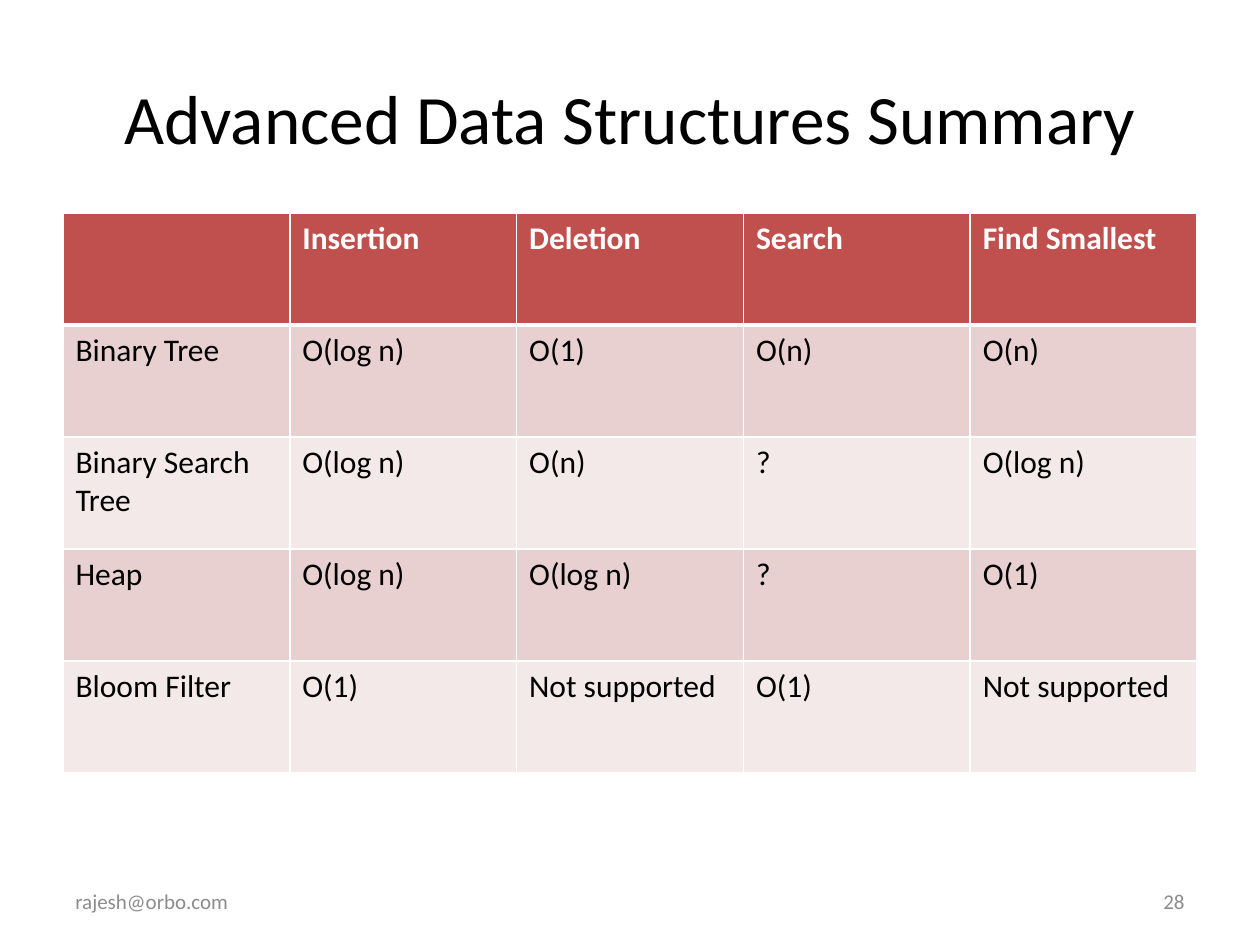
from dataclasses import dataclass

from lxml import etree
from pptx import Presentation, util as u
from pptx.dml.color import RGBColor
from pptx.enum import text
from pptx.oxml import ns

EMU_PER_PX = 914400 / 126
FONT = "Calibri"
COLORS = {
    "ink": "000000",
    "white": "FFFFFF",
    "header": "C0504D",
    "odd_row": "E8D0D0",
    "even_row": "F4E9E9",
    "footer": "8C8C8C",
}
COMPLEXITIES = [
    ["", "Insertion", "Deletion", "Search", "Find Smallest"],
    ["Binary Tree", "O(log n)", "O(1)", "O(n)", "O(n)"],
    ["Binary Search Tree", "O(log n)", "O(n)", "?", "O(log n)"],
    ["Heap", "O(log n)", "O(log n)", "?", "O(1)"],
    ["Bloom Filter", "O(1)", "Not supported", "O(1)", "Not supported"],
]


@dataclass(frozen=True)
class Box:
    left: int
    top: int
    width: int
    height: int

    def emu(self) -> list[int]:
        return [px(n) for n in (self.left, self.top, self.width, self.height)]


@dataclass(frozen=True)
class FooterItem:
    wording: str
    box: Box
    align: text.PP_ALIGN


TITLE_BOX = Box(63, 38, 1134, 158)
TABLE_BOX = Box(63, 213, 1134, 560)
FOOTER_ITEMS = [
    FooterItem("rajesh@orbo.com", Box(63, 876, 294, 50), text.PP_ALIGN.LEFT),
    FooterItem("28", Box(903, 876, 294, 50), text.PP_ALIGN.RIGHT),
]


def px(length: float) -> int:
    return round(length * EMU_PER_PX)


def set_all(target, values: dict) -> None:
    for name, value in values.items():
        setattr(target, name, value)


def write(frame, wording: str, size: float, color: str,
          align=text.PP_ALIGN.LEFT, bold: bool = False) -> None:
    frame.text = wording
    paragraph = frame.paragraphs[0]
    paragraph.alignment = align
    set_all(paragraph.font, {"size": u.Pt(size), "bold": bold})
    for run in paragraph.runs:
        set_all(run.font, {"name": FONT, "size": u.Pt(size), "bold": bold})
        run.font.color.rgb = RGBColor.from_string(COLORS[color])


def add_borders(cell, widths: dict[str, int]) -> None:
    """Put white side lines ahead of the cell's fill, as the schema orders them."""
    properties = cell._tc.get_or_add_tcPr()
    for position, (side, points) in enumerate(widths.items()):
        line = etree.Element(ns.qn(f"a:ln{side}"), w=str(u.Pt(points)))
        fill = etree.SubElement(line, ns.qn("a:solidFill"))
        etree.SubElement(fill, ns.qn("a:srgbClr"), val=COLORS["white"])
        properties.insert(position, line)


def add_title(slide) -> None:
    title = slide.shapes.title
    set_all(title, dict(zip(("left", "top", "width", "height"), TITLE_BOX.emu())))
    set_all(title.text_frame, {
        "word_wrap": True,
        "auto_size": text.MSO_AUTO_SIZE.NONE,
        "vertical_anchor": text.MSO_ANCHOR.MIDDLE,
    })
    write(title.text_frame, "Advanced Data Structures Summary", 39.6, "ink",
          text.PP_ALIGN.CENTER)


def add_complexity_table(slide) -> None:
    row_count, column_count = len(COMPLEXITIES), len(COMPLEXITIES[0])
    table = slide.shapes.add_table(row_count, column_count, *TABLE_BOX.emu()).table
    for column in table.columns:
        column.width = px(TABLE_BOX.width / column_count)
    for row in table.rows:
        row.height = px(TABLE_BOX.height / row_count)
    for r, entries in enumerate(COMPLEXITIES):
        is_header = r == 0
        row_fill = "header" if is_header else "odd_row" if r % 2 else "even_row"
        widths = {"L": 1, "R": 1, "T": 3 if r == 1 else 1, "B": 3 if is_header else 1}
        for c, entry in enumerate(entries):
            cell = table.cell(r, c)
            cell.fill.solid()
            cell.fill.fore_color.rgb = RGBColor.from_string(COLORS[row_fill])
            write(cell.text_frame, entry, 18, "white" if is_header else "ink",
                  bold=is_header)
            add_borders(cell, widths)


def add_footer_item(slide, item: FooterItem) -> None:
    frame = slide.shapes.add_textbox(*item.box.emu()).text_frame
    set_all(frame, {"word_wrap": True, "vertical_anchor": text.MSO_ANCHOR.MIDDLE})
    write(frame, item.wording, 12, "footer", item.align)


def main() -> None:
    deck = Presentation()
    set_all(deck, {"slide_width": u.Inches(10), "slide_height": u.Inches(7.5)})
    slide = deck.slides.add_slide(deck.slide_layouts.get_by_name("Title Only"))
    add_title(slide)
    add_complexity_table(slide)
    for item in FOOTER_ITEMS:
        add_footer_item(slide, item)
    deck.save("out.pptx")


if __name__ == "__main__":
    main()
